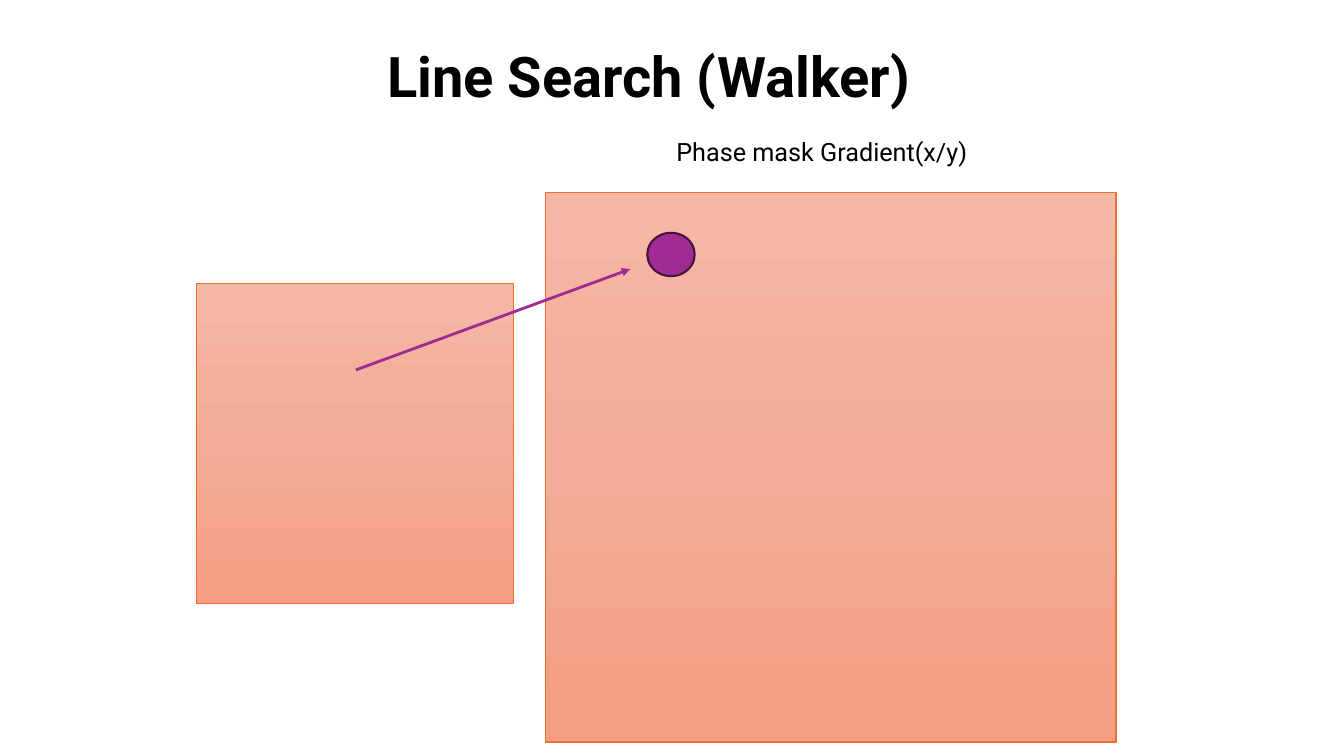
"""Build the Line Search (Walker) slide: a small mask linked to a point in the phase mask gradient."""
from copy import deepcopy

from lxml.etree import SubElement
from pptx import Presentation
from pptx.dml.color import RGBColor
from pptx.enum.shapes import MSO_CONNECTOR as LINE, MSO_SHAPE as SHAPE
from pptx.oxml.ns import qn
from pptx.util import Inches, Pt

BLACK = RGBColor(0x00, 0x00, 0x00)
ORANGE = RGBColor(0xE9, 0x71, 0x32)
PURPLE = RGBColor(0xA0, 0x2B, 0x93)
DARK_PURPLE = RGBColor(0x46, 0x13, 0x40)
PEACH_STOPS = [
    (0, RGBColor(0xF5, 0xB8, 0xA5)),
    (0.5, RGBColor(0xF2, 0xAB, 0x96)),
    (1, RGBColor(0xF5, 0x9E, 0x82)),
]

deck = Presentation()
deck.slide_width, deck.slide_height = Inches(13.33), Inches(7.5)
slide = deck.slides.add_slide(deck.slide_layouts[6])
shapes = slide.shapes


def share(*percents):
    """Turn alternating horizontal and vertical percentages into slide lengths."""
    sides = (deck.slide_width, deck.slide_height) * 2
    return [int(side * percent / 100) for side, percent in zip(sides, percents)]


def write(text, area, size, bold=False):
    """Write one left-aligned line of text in the given area."""
    box = shapes.add_textbox(*share(*area))
    box.text_frame.word_wrap = True
    paragraph = box.text_frame.paragraphs[0]
    paragraph.text = text
    font = paragraph.runs[0].font
    font.name, font.size, font.bold = "Roboto", Pt(size), bold
    font.color.rgb = BLACK


search_area = (14.63, 37.47, 23.56, 42.4)
phase_mask_area = (40.58, 25.47, 42.46, 72.67)
for area in (search_area, phase_mask_area):
    mask = shapes.add_shape(SHAPE.RECTANGLE, *share(*area))
    mask.shadow.inherit = False
    mask.line.color.rgb = ORANGE
    mask.line.width = Pt(1)
    mask.fill.gradient()
    mask.fill.gradient_angle = 270
    stop_list = mask.fill._xPr.find(".//" + qn("a:gsLst"))
    stop_list.append(deepcopy(stop_list[0]))
    for stop, (position, color) in zip(mask.fill.gradient_stops, PEACH_STOPS):
        stop.position = position
        stop.color.rgb = color

write("Phase mask Gradient(x/y)", (49.59, 17.33, 30.91, 5.33), 18)

step = shapes.add_connector(LINE.STRAIGHT, *share(26.48, 48.93, 46.89, 35.6))
step.line.color.rgb = PURPLE
step.line.width = Pt(2)
SubElement(step.line._get_or_add_ln(), qn("a:tailEnd"), type="triangle")
SubElement(step._element.spPr, qn("a:effectLst"))

walker = shapes.add_shape(SHAPE.OVAL, *share(48.16, 30.8, 3.53, 5.73))
walker.shadow.inherit = False
walker.fill.solid()
walker.fill.fore_color.rgb = PURPLE
walker.line.color.rgb = DARK_PURPLE
walker.line.width = Pt(1.5)

write("Line Search (Walker)", (28.06, 4.8, 45.46, 10.27), 40, bold=True)

deck.save("out.pptx")
